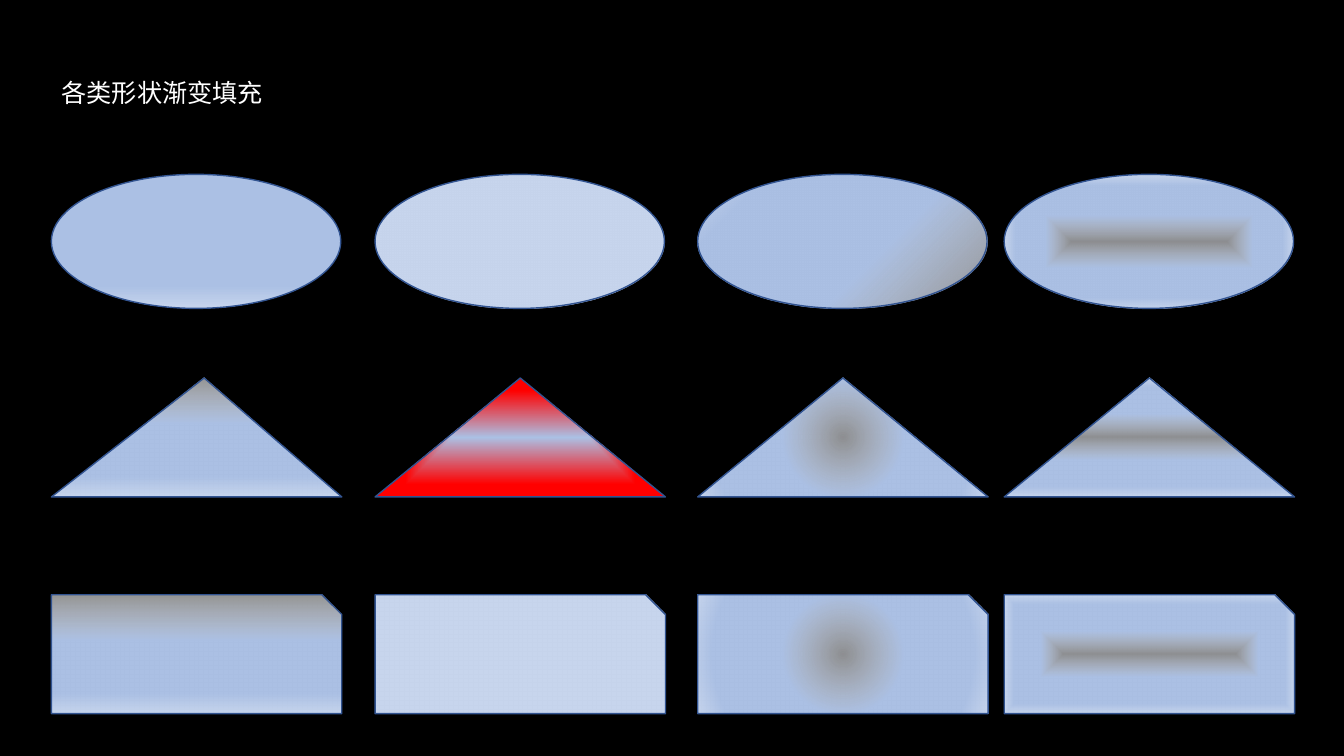
from lxml import etree
from pptx import Presentation
from pptx.dml.color import RGBColor
from pptx.enum.shapes import MSO_SHAPE
from pptx.enum.text import MSO_ANCHOR, MSO_AUTO_SIZE, PP_ALIGN
from pptx.oxml.ns import qn
from pptx.util import Inches, Pt

OVAL = MSO_SHAPE.OVAL
TRIANGLE = MSO_SHAPE.ISOSCELES_TRIANGLE
SNIPPED = MSO_SHAPE.SNIP_1_RECTANGLE
TOP = MSO_ANCHOR.TOP
GROW = MSO_AUTO_SIZE.SHAPE_TO_FIT_TEXT
LEFT = PP_ALIGN.LEFT

BLACK = RGBColor(0x00, 0x00, 0x00)
WHITE = RGBColor(0xFF, 0xFF, 0xFF)
RED = RGBColor(0xFF, 0x00, 0x00)
OUTLINE = RGBColor(0x32, 0x54, 0x91)
MIST = RGBColor(0xF6, 0xF8, 0xFC)
BLUE = RGBColor(0xAB, 0xC0, 0xE4)
PALE_BLUE = RGBColor(0xC7, 0xD5, 0xED)
FONT = "Noto Sans CJK SC"

# Gradient stops: position in percent, colour, opacity in percent
BLUE_END = [(83, BLUE, 100), (100, PALE_BLUE, 100)]
WHITE_BLUE = [(0, WHITE, 57), (39, BLUE, 100)] + BLUE_END
MIST_BLUE = [(0, MIST, 57), (39, BLUE, 100)] + BLUE_END
BLUE_RED = [(0, BLUE, 100), (79, RED, 100)]

# Focus rectangles: left, top, right, bottom in percent
CENTRE = (50, 50, 50, 50)
TOP_LEFT = (0, 0, 100, 100)
BOTTOM_LEFT = (0, 100, 100, 0)
BOTTOM_RIGHT = (100, 100, 0, 0)

# Rows: shape, top, width, height, adjustment of the first shape
ROWS = [
    (OVAL, 1.73, 2.87, 1.33, None),
    (TRIANGLE, 3.75, 2.88, 1.18, 0.526),
    (SNIPPED, 5.9, 2.88, 1.18, None),
]

# Columns: left, gradient kind, (stops, focus) for each row
COLUMNS = [
    (0.51, "linear", [(BLUE_END, None), (WHITE_BLUE, None), (WHITE_BLUE, None)]),
    (3.72, "rect", [(WHITE_BLUE, TOP_LEFT), (BLUE_RED, CENTRE), (MIST_BLUE, BOTTOM_LEFT)]),
    (6.92, "circle", [(MIST_BLUE, BOTTOM_RIGHT), (MIST_BLUE, CENTRE), (MIST_BLUE, CENTRE)]),
    (9.96, "shape", [(MIST_BLUE, CENTRE)] * 3),
]


def set_attributes(target, values):
    for name, value in values.items():
        setattr(target, name, value)


def add_child(parent, tag, **attributes):
    return etree.SubElement(parent, qn(tag), attributes)


def thousandths(percent):
    return str(percent * 1000)


def fill_gradient(shape, kind, stops, focus):
    gradient = etree.Element(qn("a:gradFill"), rotWithShape="1")
    stop_list = add_child(gradient, "a:gsLst")
    for position, color, opacity in stops:
        stop = add_child(stop_list, "a:gs", pos=thousandths(position))
        color_element = add_child(stop, "a:srgbClr", val=str(color))
        if opacity < 100:
            add_child(color_element, "a:alpha", val=thousandths(opacity))
    if kind == "linear":
        add_child(gradient, "a:lin", ang="5400000", scaled="0")
    else:
        outline = add_child(gradient, "a:path", path=kind)
        sides = dict(zip("ltrb", map(thousandths, focus)))
        add_child(outline, "a:fillToRect", **sides)
    shape._element.spPr.find(qn("a:prstGeom")).addnext(gradient)


def add_gradient_shape(slide, kind, box, gradient):
    shape = slide.shapes.add_shape(kind, *map(Inches, box))
    fill_gradient(shape, *gradient)
    shape.line.color.rgb = OUTLINE
    shape.line.width = Pt(1)
    shape.shadow.inherit = False
    return shape


def set_title(slide, text):
    title = slide.shapes.title
    set_attributes(title, {"left": Inches(0.51), "top": Inches(0.72),
                           "width": Inches(2.22), "height": Inches(0.4)})
    frame = title.text_frame
    frame.text = text
    set_attributes(frame, {"word_wrap": False, "auto_size": GROW,
                           "vertical_anchor": TOP})
    paragraph = frame.paragraphs[0]
    set_attributes(paragraph, {"alignment": LEFT, "line_spacing": 1.0})
    font = paragraph.runs[0].font
    set_attributes(font, {"name": FONT, "size": Pt(18), "bold": False})
    font.color.rgb = WHITE
    # East Asian typeface for the Chinese text
    add_child(paragraph.runs[0]._r.get_or_add_rPr(), "a:ea", typeface=FONT)


def main():
    presentation = Presentation()
    presentation.slide_width = Inches(13.33)
    presentation.slide_height = Inches(7.5)
    slide = presentation.slides.add_slide(presentation.slide_layouts[5])

    # Background and title
    slide.background.fill.solid()
    slide.background.fill.fore_color.rgb = BLACK
    set_title(slide, "各类形状渐变填充")

    # Grid of shapes: one gradient kind per column
    for left, gradient_kind, fills in COLUMNS:
        for row, (stops, focus) in zip(ROWS, fills):
            kind, top, width, height, first_adjustment = row
            shape = add_gradient_shape(slide, kind, (left, top, width, height),
                                       (gradient_kind, stops, focus))
            if first_adjustment and gradient_kind == "linear":
                shape.adjustments[0] = first_adjustment

    presentation.save("out.pptx")


if __name__ == "__main__":
    main()
